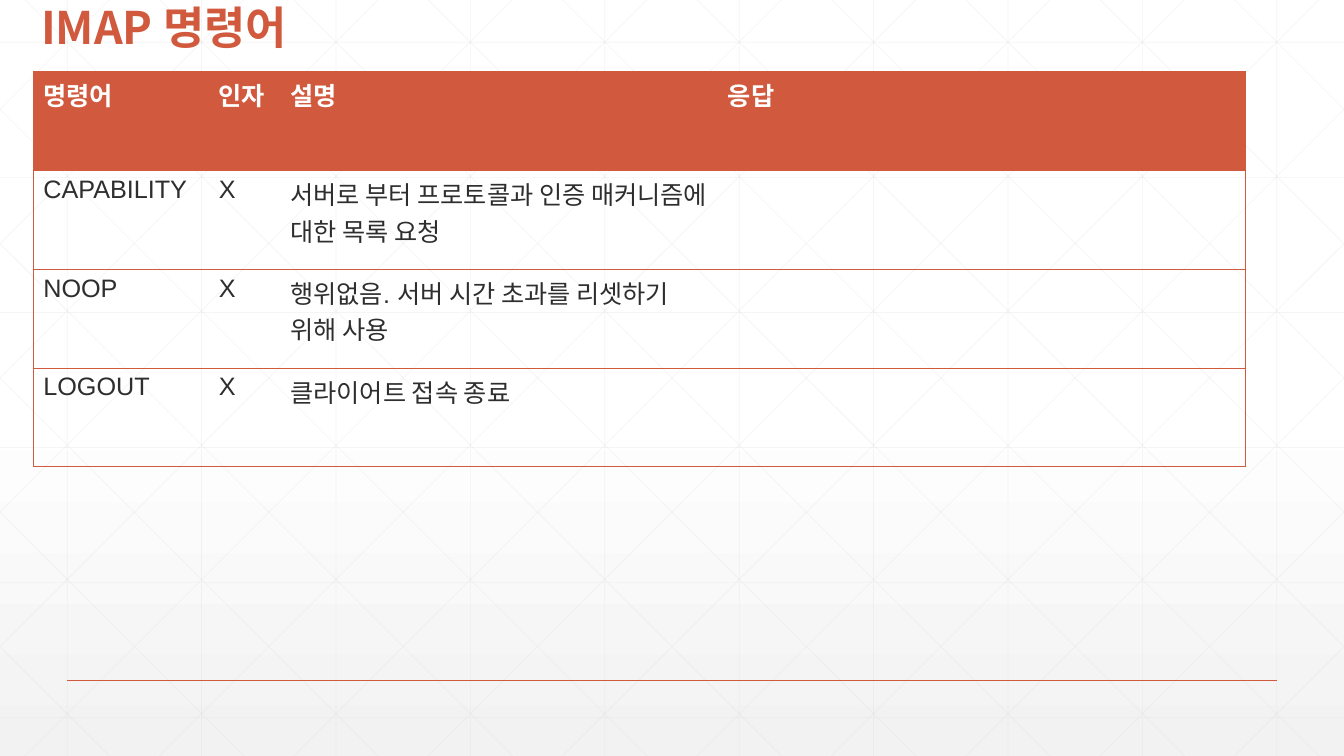
from lxml.etree import SubElement as add_node
from pptx import Presentation
from pptx.dml.color import RGBColor as Rgb
from pptx.enum.shapes import MSO_CONNECTOR as Link
from pptx.enum.text import MSO_ANCHOR as Anchor
from pptx.oxml.ns import qn
from pptx.util import Inches, Pt

COLORS = {"accent": "D15A3E", "ink": "2D2E2D", "white": "FFFFFF",
          "mist": "F2F2F2", "grid": "D9D9D9"}
WIDTH, HEIGHT = 13.33, 7.5
HANGUL = "Noto Sans CJK KR"

TITLE = {"name": HANGUL, "size": Pt(32), "bold": True}
HEADER = {"name": "Arial", "size": Pt(18), "bold": True}
BODY = {**HEADER, "bold": False}

COLUMNS = [1.74, 0.71, 4.34, 5.23]
COMMANDS = [
    ["명령어", "인자", "설명", "응답"],
    ["CAPABILITY", "X", "서버로 부터 프로토콜과 인증 매커니즘에 대한 목록 요청", ""],
    ["NOOP", "X", "행위없음. 서버 시간 초과를 리셋하기 위해 사용", ""],
    ["LOGOUT", "X", "클라이어트 접속 종료", ""],
]


def color(name):
    return Rgb.from_string(COLORS[name])


def write(para, text, style, ink):
    span = para.add_run()
    span.text = text
    for key, value in style.items():
        setattr(span.font, key, value)
    span.font.color.rgb = color(ink)
    add_node(span.font._element, qn("a:ea"), typeface=HANGUL)


def draw_line(shapes, start, end, ink, width, alpha=None):
    line = shapes.add_connector(Link.STRAIGHT, *map(Inches, (*start, *end)))
    line.line.color.rgb = color(ink)
    line.line.width = Pt(width)
    properties = line._element.spPr
    add_node(properties, qn("a:effectLst"))
    if alpha:
        tint = properties.find(".//" + qn("a:srgbClr"))
        add_node(tint, qn("a:alpha"), val=str(alpha * 1000))


def paint_background(page):
    fill = page.background.fill
    fill.gradient()
    fill.gradient_angle = 270
    for stop, place, name in zip(fill.gradient_stops, (0.53, 1), ("white", "mist")):
        stop.position = place
        stop.color.rgb = color(name)


def draw_grid(page, width, height):
    """Faint upright, level and crossing diagonal lines, clipped to the page."""
    step = width / 10
    lines = [((step * (i + 0.5), 0), (step * (i + 0.5), height)) for i in range(10)]
    lines += [((0, 0.42 + 1.34 * i), (width, 0.42 + 1.34 * i)) for i in range(6)]
    for i in range(-5, 10):
        top = 0.25 + step * i
        start = (max(top, 0), max(-top, 0))
        end = (min(top + height, width), min(width - top, height))
        mirrored = [(width - x, y) for x, y in (start, end)]
        lines += [(start, end), mirrored]
    group = page.shapes.add_group_shape()
    for start, end in lines:
        draw_line(group.shapes, start, end, "grid", 0.5, alpha=25)


def add_title(page, text, box):
    frame = page.shapes.add_textbox(*map(Inches, box)).text_frame
    for key, value in {"word_wrap": True, "vertical_anchor": Anchor.BOTTOM}.items():
        setattr(frame, key, value)
    para = frame.paragraphs[0]
    para.line_spacing = 0.9
    write(para, text, TITLE, "accent")


def set_borders(cell, sides):
    """Edges go ahead of the fill, in schema order."""
    properties = cell._tc.get_or_add_tcPr()
    for place, side in enumerate(("L", "R", "T", "B")):
        edge = properties.makeelement(qn("a:ln" + side), {"w": str(Pt(0.5))})
        if side in sides:
            paint = add_node(edge, qn("a:solidFill"))
            add_node(paint, qn("a:srgbClr"), val=COLORS["accent"])
        else:
            add_node(edge, qn("a:noFill"))
        properties.insert(place, edge)


def add_commands(page, rows, widths, box):
    grid = page.shapes.add_table(len(rows), len(widths), *map(Inches, box)).table
    for column, width in zip(grid.columns, widths):
        column.width = Inches(width)
    last = len(widths) - 1
    for r, row in enumerate(rows):
        for c, text in enumerate(row):
            cell = grid.cell(r, c)
            if r == 0:
                cell.fill.solid()
                cell.fill.fore_color.rgb = color("accent")
            else:
                cell.fill.background()
            set_borders(cell, "TB" + "L" * (c == 0) + "R" * (c == last))
            if text:
                style, ink = (BODY, "ink") if r else (HEADER, "white")
                write(cell.text_frame.paragraphs[0], text, style, ink)


deck = Presentation()
deck.slide_width, deck.slide_height = Inches(WIDTH), Inches(HEIGHT)
page = deck.slides.add_slide(deck.slide_layouts[6])

# Backdrop
paint_background(page)
draw_grid(page, WIDTH, HEIGHT)

# Footer rule
margin, base = WIDTH * 0.05, HEIGHT * 0.9
draw_line(page.shapes, (margin, base), (WIDTH - margin, base), "accent", 1)

# Title and command table
add_title(page, "IMAP 명령어", (0.31, 0, 10.5, 0.59))
add_commands(page, COMMANDS, COLUMNS, (0.33, 0.71, sum(COLUMNS), 3.92))

deck.save("out.pptx")
